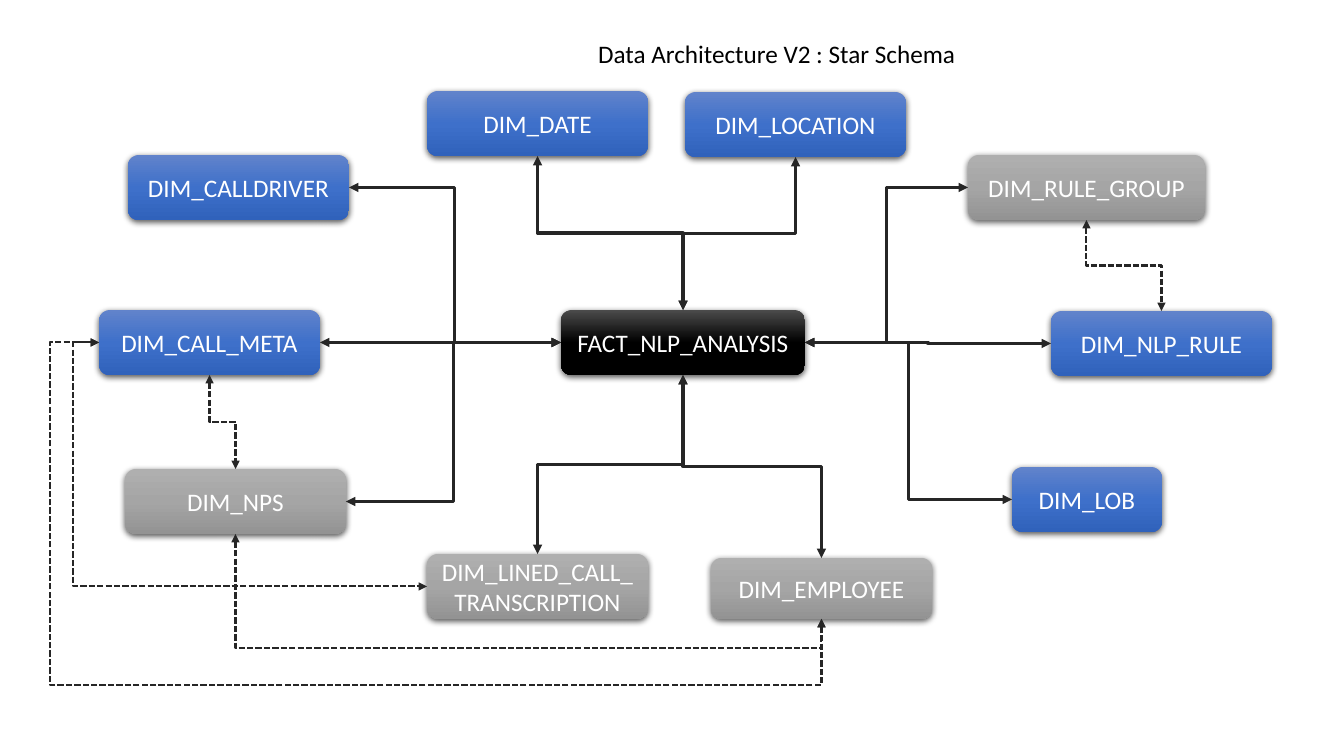
from copy import deepcopy
from lxml.etree import SubElement as Sub
from pptx import Presentation
from pptx.dml.color import RGBColor as RGB
from pptx.enum.dml import MSO_LINE as DASH
from pptx.enum.shapes import MSO_CONNECTOR as CONN, MSO_SHAPE as SHAPE
from pptx.enum.text import MSO_ANCHOR as ANCHOR, MSO_AUTO_SIZE as FIT, PP_ALIGN as ALIGN
from pptx.oxml.ns import qn
from pptx.util import Pt

SCALE = 914400 / 100.8
WHITE, BLACK = RGB(255, 255, 255), RGB(0, 0, 0)
INK = RGB(0x26, 0x26, 0x26)
BLUE = RGB(0x61, 0x83, 0xCB), RGB(0x3E, 0x70, 0xCA), RGB(0x30, 0x62, 0xBB)
GREY = RGB(0xAF, 0xAF, 0xAF), RGB(0xA5, 0xA5, 0xA5), RGB(0x93, 0x93, 0x93)
DARK = RGB(0x4B, 0x4B, 0x4B), BLACK, BLACK
TOP, LEFT, BOTTOM, RIGHT = range(4)
FACT = "FACT_NLP_ANALYSIS"

# Table name: left, top, width, height in px, and colours
TABLES = {
    FACT: (561, 310, 244, 65, DARK),
    "DIM_LOB": (1012, 467, 150, 65, BLUE),
    "DIM_CALL_META": (99, 310, 221, 65, BLUE),
    "DIM_NLP_RULE": (1051, 311, 221, 65, BLUE),
    "DIM_CALLDRIVER": (128, 155, 221, 65, BLUE),
    "DIM_DATE": (427, 91, 221, 65, BLUE),
    "DIM_LOCATION": (685, 92, 221, 65, BLUE),
    "DIM_RULE_GROUP": (968, 155, 237, 65, GREY),
    "DIM_LINED_CALL_TRANSCRIPTION": (427, 554, 221, 65, GREY),
    "DIM_EMPLOYEE": (711, 558, 221, 61, GREY),
    "DIM_NPS": (125, 469, 221, 65, GREY),
}

# Fact to dimension: side of the fact, dimension, its side
STAR = [
    (RIGHT, "DIM_RULE_GROUP", LEFT),
    (RIGHT, "DIM_NLP_RULE", LEFT),
    (RIGHT, "DIM_LOB", LEFT),
    (LEFT, "DIM_CALLDRIVER", RIGHT),
    (LEFT, "DIM_CALL_META", RIGHT),
    (LEFT, "DIM_NPS", RIGHT),
    (TOP, "DIM_DATE", BOTTOM),
    (TOP, "DIM_LOCATION", BOTTOM),
    (BOTTOM, "DIM_LINED_CALL_TRANSCRIPTION", TOP),
    (BOTTOM, "DIM_EMPLOYEE", TOP),
]

# Dimension to dimension, with the px at which a detour turns
SIDE = [
    ("DIM_RULE_GROUP", BOTTOM, "DIM_NLP_RULE", TOP, ()),
    ("DIM_CALL_META", BOTTOM, "DIM_NPS", TOP, ()),
    ("DIM_CALL_META", LEFT, "DIM_LINED_CALL_TRANSCRIPTION", LEFT, (73,)),
    ("DIM_EMPLOYEE", BOTTOM, "DIM_CALL_META", LEFT, (685, 50)),
    ("DIM_NPS", BOTTOM, "DIM_EMPLOYEE", BOTTOM, (648,)),
]


def px(n):
    return round(n * SCALE)


def place(shape, x, y, w, h):
    shape.left, shape.top, shape.width, shape.height = map(px, (x, y, w, h))


def write(frame, text, color=WHITE, align=ALIGN.CENTER, anchor=ANCHOR.MIDDLE, wrap=True):
    frame.auto_size = FIT.NONE
    frame.word_wrap, frame.vertical_anchor = wrap, anchor
    para = frame.paragraphs[0]
    para.alignment = align
    run = para.add_run()
    run.text = text
    run.font.name, run.font.size, run.font.color.rgb = "Calibri", Pt(18), color


def heading(slide, x, y, w, h):
    title = slide.shapes.title
    place(title, x, y, w, h)
    write(title.text_frame, "Data Architecture V2 : Star Schema",
          color=BLACK, align=ALIGN.LEFT, anchor=ANCHOR.TOP, wrap=False)


def table(slide, name, x, y, w, h, colors):
    box = slide.shapes.add_shape(SHAPE.ROUNDED_RECTANGLE, *map(px, (x, y, w, h)))
    box.line.fill.background()
    box.fill.gradient()
    box.fill.gradient_angle = 270
    stops = box._element.spPr.find(qn("a:gradFill")).find(qn("a:gsLst"))
    stops.insert(1, deepcopy(stops[0]))
    for stop, color, at in zip(box.fill.gradient_stops, colors, (0, 0.5, 1)):
        stop.color.rgb, stop.position = color, at
    # Soft shadow below the box
    box.shadow.inherit = False
    glow = Sub(box._element.spPr.find(qn("a:effectLst")), qn("a:outerShdw"),
               blurRad=str(Pt(4.5)), dist=str(Pt(1.5)), dir="5400000", rotWithShape="0")
    tint = Sub(glow, qn("a:srgbClr"), val="000000")
    Sub(tint, qn("a:alpha"), val="63000")
    write(box.text_frame, name)
    return box


def port(name, side):
    x, y, w, h, _ = TABLES[name]
    return {TOP: (x + w / 2, y), LEFT: (x, y + h / 2),
            BOTTOM: (x + w / 2, y + h), RIGHT: (x + w, y + h / 2)}[side]


def link(slide, boxes, start, out, end, into, turns=(), width=2.25, dash=None):
    a, b = port(start, out), port(end, into)
    line = slide.shapes.add_connector(CONN.ELBOW, 0, 0, 0, 0)
    line.begin_connect(boxes[start], out)
    line.end_connect(boxes[end], into)

    # Frame: a route that leaves up or down is turned by a quarter
    dx, dy = b[0] - a[0], b[1] - a[1]
    upright = out in (TOP, BOTTOM)
    w, h = (abs(dy), abs(dx)) if upright else (abs(dx), abs(dy))
    place(line, (a[0] + b[0] - w) / 2, (a[1] + b[1] - h) / 2, w, h)
    turn, flip_h, flip_v = 0, dx < 0, dy < 0
    if upright:
        turn, flip_h, flip_v = 270, dy > 0, dx < 0
        if flip_h and flip_v:
            turn, flip_h, flip_v = 90, False, False
    props = line._element.spPr
    frame = props.find(qn("a:xfrm"))
    for key, val in (("rot", turn * 60000), ("flipH", int(flip_h)), ("flipV", int(flip_v))):
        frame.set(key, str(val))

    # Bends
    geom = props.find(qn("a:prstGeom"))
    geom.set("prst", f"bentConnector{max(3, 2 + len(turns))}")
    guides = geom.find(qn("a:avLst"))
    for i, at in enumerate(turns):
        axis = (i + upright) % 2
        part = (at - a[axis]) / (b[axis] - a[axis])
        Sub(guides, qn("a:gd"), name=f"adj{i + 1}", fmla=f"val {round(part * 100000)}")

    # Stroke and arrowheads
    line.line.color.rgb, line.line.width = INK, Pt(width)
    if dash:
        line.line.dash_style = dash
    stroke = props.find(qn("a:ln"))
    for tip in ("a:headEnd", "a:tailEnd"):
        Sub(stroke, qn(tip), type="triangle")
    Sub(props, qn("a:effectLst"))


def schema(slide):
    boxes = {name: table(slide, name, *spec_) for name, spec_ in TABLES.items()}
    for out, dim, into in STAR:
        link(slide, boxes, FACT, out, dim, into)
    for start, out, end, into, turns in SIDE:
        link(slide, boxes, start, out, end, into, turns, width=1.5, dash=DASH.SQUARE_DOT)


def main():
    deck = Presentation()
    deck.slide_width, deck.slide_height = px(1344), px(756)
    slide = deck.slides.add_slide(deck.slide_layouts[5])
    heading(slide, 588, 33, 382, 40)
    schema(slide)
    deck.save("out.pptx")


if __name__ == "__main__":
    main()
